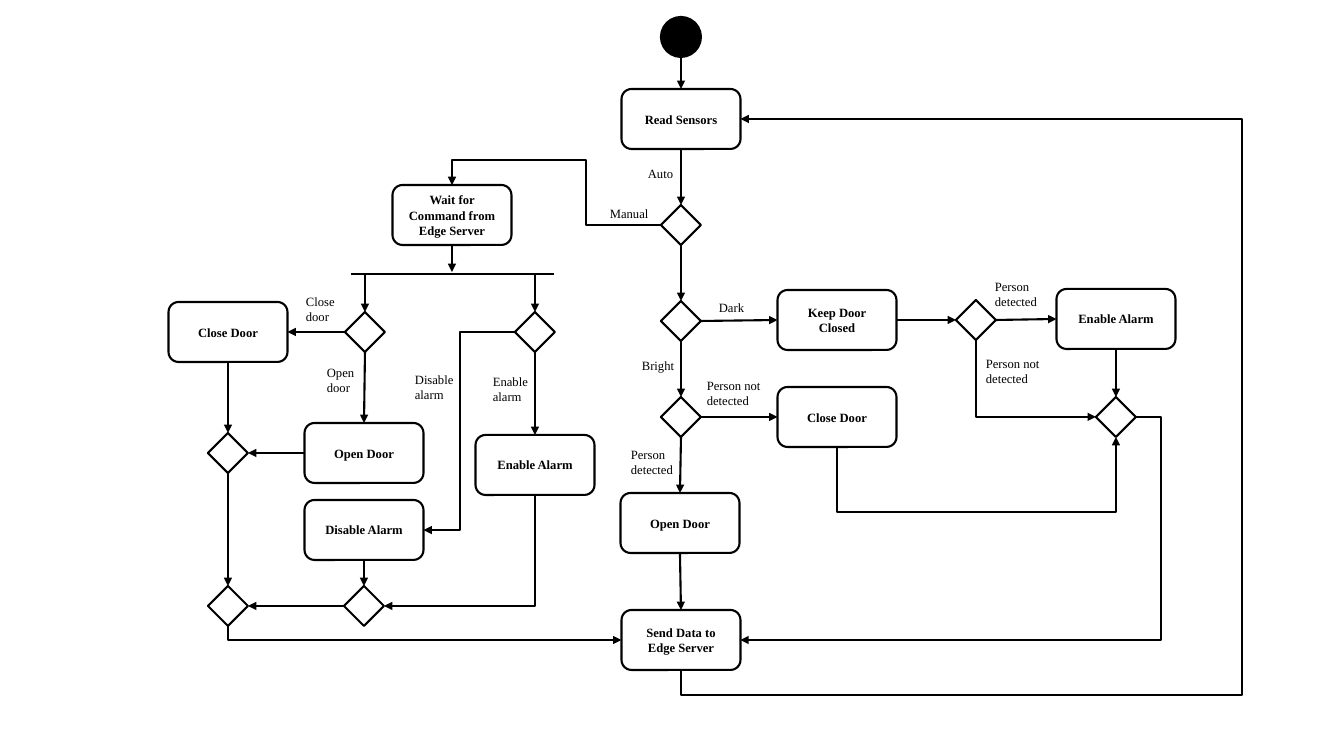
from lxml import etree
from pptx import Presentation
from pptx.dml.color import RGBColor
from pptx.enum.shapes import MSO_CONNECTOR as Connector, MSO_SHAPE as Shape
from pptx.enum.text import MSO_ANCHOR as Anchor, MSO_AUTO_SIZE as AutoSize, PP_ALIGN as Align
from pptx.oxml.ns import qn
from pptx.util import Pt

BLACK = RGBColor(0x00, 0x00, 0x00)
WHITE = RGBColor(0xFF, 0xFF, 0xFF)
EMU_PER_PX = 12192000 / 1344
TOP, LEFT, BOTTOM, RIGHT = range(4)


def px(length):
    return round(length * EMU_PER_PX)


class FlowChart:
    font_name = "Times New Roman"
    font_size = Pt(9)
    line_width = Pt(1.5)
    box_size = (119, 60)
    diamond_size = (40, 40)

    def __init__(self, slide):
        self.shapes = slide.shapes

    def node(self, kind, x, y, size, fill=WHITE):
        """Add a preset shape centred on x, y."""
        width, height = size
        shape = self.shapes.add_shape(
            kind, px(x - width / 2), px(y - height / 2), px(width), px(height))
        shape.shadow.inherit = False
        shape.fill.solid()
        shape.fill.fore_color.rgb = fill
        shape.line.color.rgb = BLACK
        shape.line.width = self.line_width
        return shape

    def set_text(self, frame, text, bold=False, align=Align.LEFT):
        frame.word_wrap = True
        frame.text = text
        paragraph = frame.paragraphs[0]
        paragraph.alignment = align
        paragraph.font.name = self.font_name
        paragraph.font.size = self.font_size
        paragraph.font.bold = bold
        paragraph.font.color.rgb = BLACK

    def action(self, text, x, y):
        box = self.node(Shape.ROUNDED_RECTANGLE, x, y, self.box_size)
        box.text_frame.vertical_anchor = Anchor.MIDDLE
        self.set_text(box.text_frame, text, bold=True, align=Align.CENTER)
        return box

    def decision(self, x, y):
        return self.node(Shape.FLOWCHART_DECISION, x, y, self.diamond_size)

    def label(self, text, left, top, width, height=40):
        box = self.shapes.add_textbox(px(left), px(top), px(width), px(height))
        self.set_text(box.text_frame, text)
        box.text_frame.auto_size = AutoSize.SHAPE_TO_FIT_TEXT

    def line(self, begin=(0, 0), end=(0, 0), kind=Connector.STRAIGHT, arrow=True):
        connector = self.shapes.add_connector(kind, *map(px, begin + end))
        connector.line.color.rgb = BLACK
        connector.line.width = self.line_width
        if arrow:
            outline = connector.line._get_or_add_ln()
            etree.SubElement(outline, qn("a:tailEnd"), type="triangle")
        etree.SubElement(connector._element.spPr, qn("a:effectLst"))
        return connector

    def arrow(self, source, source_side, target, target_side):
        connector = self.line()
        connector.begin_connect(source, source_side)
        connector.end_connect(target, target_side)

    def elbow(self, source, source_side, target, target_side, *bends):
        """Join two nodes; bends are the px where the route turns, axis by axis."""
        connector = self.line(kind=Connector.ELBOW)
        connector.begin_connect(source, source_side)
        connector.end_connect(target, target_side)
        begin = (connector.begin_x, connector.begin_y)
        delta = (connector.end_x - begin[0], connector.end_y - begin[1])
        first = 1 if source_side == BOTTOM else 0
        axes = (first, 1 - first)
        if first == 1:
            quarters = 3 if min(delta) > 0 else 1
        else:
            quarters = 2 if source_side == LEFT else 0

        # Direction on the slide of the connector's own x and y axes
        x_sign, y_sign = ((1, 1), (1, -1), (-1, -1), (-1, 1))[quarters]
        width, height = (abs(delta[axis]) for axis in axes)
        connector.left = begin[0] + (delta[0] - width) // 2
        connector.top = begin[1] + (delta[1] - height) // 2
        connector.width, connector.height = width, height
        transform = connector._element.spPr.find(qn("a:xfrm"))
        transform.set("rot", str(quarters * 5400000))
        transform.set("flipH", str(int(delta[axes[0]] * x_sign < 0)))
        transform.set("flipV", str(int(delta[axes[1]] * y_sign < 0)))

        geometry = connector._element.spPr.find(qn("a:prstGeom"))
        geometry.set("prst", f"bentConnector{len(bends) + 2}")
        guides = geometry.find(qn("a:avLst"))
        for number, (axis, bend) in enumerate(zip(axes, bends), 1):
            ratio = round(100000 * (px(bend) - begin[axis]) / delta[axis])
            etree.SubElement(guides, qn("a:gd"), name=f"adj{number}", fmla=f"val {ratio}")


def main():
    presentation = Presentation()
    presentation.slide_width, presentation.slide_height = px(1344), px(756)
    chart = FlowChart(presentation.slides.add_slide(presentation.slide_layouts[6]))

    # Main column
    chart.node(Shape.OVAL, 681, 37, chart.diamond_size, fill=BLACK)
    read_sensors = chart.action("Read Sensors", 681, 119)
    mode, light, visitor = (chart.decision(681, y) for y in (225, 321, 417))
    open_door = chart.action("Open Door", 680, 523)
    send_data = chart.action("Send Data to Edge Server", 681, 640)
    chart.line((681, 57), (681, 89)).end_connect(read_sensors, TOP)

    # Automatic branch
    keep_closed = chart.action("Keep Door Closed", 837, 320)
    close_door = chart.action("Close Door", 837, 417)
    intruder = chart.decision(976, 320)
    enable_alarm = chart.action("Enable Alarm", 1116, 319)
    alarm_merge = chart.decision(1116, 417)

    # Manual branch
    wait = chart.action("Wait for Command from Edge Server", 452, 215)
    door_command = chart.decision(365, 332)
    alarm_command = chart.decision(535, 332)
    manual_close = chart.action("Close Door", 228, 332)
    manual_open = chart.action("Open Door", 364, 453)
    manual_enable = chart.action("Enable Alarm", 535, 465)
    manual_disable = chart.action("Disable Alarm", 364, 530)
    door_merge = chart.decision(228, 453)
    manual_alarm_merge = chart.decision(364, 606)
    manual_merge = chart.decision(228, 606)

    chart.line((351, 274), (554, 274), arrow=False)
    chart.line((452, 245), (452, 272)).begin_connect(wait, BOTTOM)
    for x, command in ((365, door_command), (535, alarm_command)):
        chart.line((x, 274), (x, 312)).end_connect(command, TOP)

    for upper, lower in (
        (read_sensors, mode), (mode, light), (light, visitor), (visitor, open_door),
        (open_door, send_data), (enable_alarm, alarm_merge), (door_command, manual_open),
        (alarm_command, manual_enable), (manual_close, door_merge),
        (door_merge, manual_merge), (manual_disable, manual_alarm_merge),
    ):
        chart.arrow(upper, BOTTOM, lower, TOP)
    for left, right in ((light, keep_closed), (visitor, close_door),
                        (keep_closed, intruder), (intruder, enable_alarm)):
        chart.arrow(left, RIGHT, right, LEFT)
    for right, left in ((door_command, manual_close), (manual_open, door_merge),
                        (manual_alarm_merge, manual_merge)):
        chart.arrow(right, LEFT, left, RIGHT)

    chart.elbow(mode, LEFT, wait, TOP, 586, 160)
    chart.elbow(alarm_command, LEFT, manual_disable, RIGHT, 460)
    chart.elbow(manual_enable, BOTTOM, manual_alarm_merge, RIGHT)
    chart.elbow(manual_merge, BOTTOM, send_data, LEFT)
    chart.elbow(intruder, BOTTOM, alarm_merge, LEFT)
    chart.elbow(close_door, BOTTOM, alarm_merge, BOTTOM, 512)
    chart.elbow(alarm_merge, RIGHT, send_data, RIGHT, 1161)
    chart.elbow(send_data, BOTTOM, read_sensors, RIGHT, 695, 1242)

    for text, left, top, width in (("Manual", 600, 201, 70), ("Auto", 638, 161, 48),
                                   ("Bright", 632, 353, 53), ("Dark", 709, 295, 48)):
        chart.label(text, left, top, width, height=25)
    for text, left, top, width in (
        ("Person detected", 621, 442, 66), ("Person not detected", 697, 373, 85),
        ("Person not detected", 976, 351, 82), ("Person detected", 985, 274, 71),
        ("Enable alarm", 483, 369, 57), ("Open door", 317, 360, 52),
        ("Close door", 296, 289, 53), ("Disable alarm", 405, 367, 74),
    ):
        chart.label(text, left, top, width)

    presentation.save("out.pptx")


if __name__ == "__main__":
    main()
